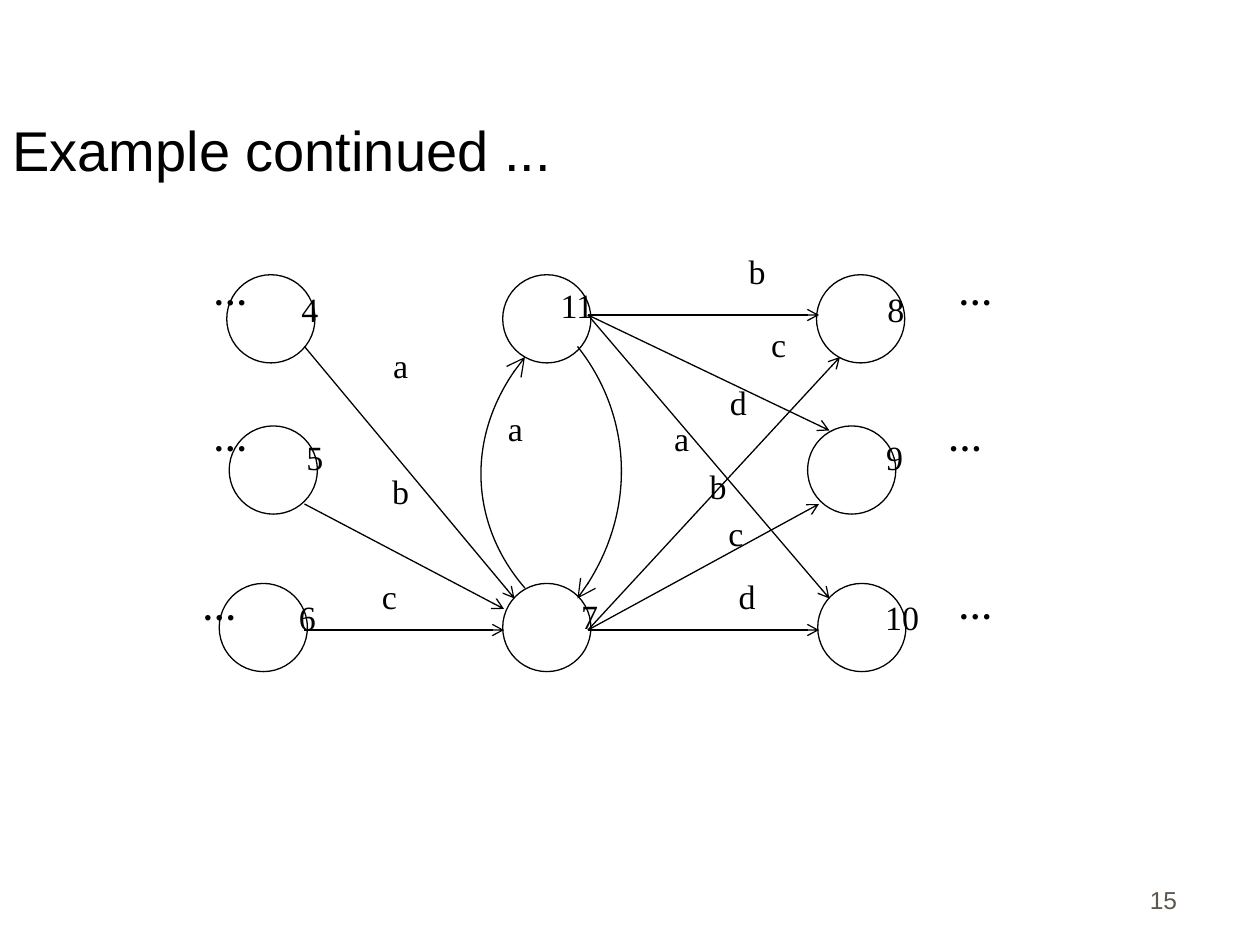
from typing import NamedTuple

from pptx import Presentation
from pptx.dml.color import RGBColor
from pptx.enum.shapes import MSO_CONNECTOR, MSO_SHAPE
from pptx.enum.text import MSO_ANCHOR, PP_ALIGN
from pptx.oxml.xmlchemy import OxmlElement
from pptx.util import Pt

OVAL = MSO_SHAPE.OVAL
STRAIGHT = MSO_CONNECTOR.STRAIGHT
TOP, BOTTOM = MSO_ANCHOR.TOP, MSO_ANCHOR.BOTTOM
LEFT, CENTER, RIGHT = PP_ALIGN.LEFT, PP_ALIGN.CENTER, PP_ALIGN.RIGHT

BLACK, WHITE, GREY = "000000", "FFFFFF", "5E574E"
SIZE = 50.4
TAG_W, TAG_H = 73.4, 30.2
ROWS = (157, 243.4, 333.4)
TAG_FONT = {"name": "Times New Roman", "size": Pt(19.4)}
DOT_FONT = TAG_FONT | {"bold": True}
TAG_PARA = {"alignment": CENTER, "line_spacing": 0.8}


class Node(NamedTuple):
    name: str
    left: float
    row: int
    tag_x: float
    tag_y: float


class Edge(NamedTuple):
    x1: float
    y1: float
    x2: float
    y2: float


class Tag(NamedTuple):
    text: str
    left: float
    top: float


NODES = (
    Node("4", 129.6, 0, 140.4, 165.6),
    Node("5", 131, 1, 143.3, 250.6),
    Node("6", 125.3, 2, 139, 342),
    Node("11", 287.3, 0, 293, 163.4),
    Node("7", 287.3, 2, 300.2, 341.3),
    Node("8", 466.6, 0, 475.2, 165.6),
    Node("9", 461.5, 1, 474.5, 250.6),
    Node("10", 467.3, 2, 478.8, 342),
)
EDGES = (
    Edge(174, 198, 294, 342),
    Edge(174, 288, 288, 348),
    Edge(174, 360, 288, 360),
    Edge(336, 180, 468, 180),
    Edge(336, 180, 474, 246),
    Edge(336, 180, 474, 342),
    Edge(336, 360, 480, 204),
    Edge(336, 360, 468, 288),
    Edge(336, 360, 468, 360),
)
CURVES = (
    ((300, 336), (270.7, 302.4), (264, 247.7), (300, 204)),
    ((330, 198), (359.3, 234.7), (366, 294.5), (330, 342)),
)
TAGS = (
    Tag("a", 192.2, 198),
    Tag("b", 192.2, 270),
    Tag("c", 185.8, 329.8),
    Tag("a", 257.8, 234),
    Tag("b", 396, 144),
    Tag("c", 408.2, 185.8),
    Tag("d", 385.2, 218.9),
    Tag("a", 352.8, 239.8),
    Tag("b", 373.7, 267.1),
    Tag("c", 383.8, 293.8),
    Tag("d", 390.2, 329.8),
)
DOTS = (
    (95, 156.2), (95, 239.8), (88.6, 336.2),
    (520.6, 156.2), (514.8, 239.8), (520.6, 335.5),
)


def color(code: str) -> RGBColor:
    return RGBColor.from_string(code)


def apply(target, form: dict) -> None:
    for key, value in form.items():
        setattr(target, key, value)


def write(slide, text: str, box: tuple, font: dict, para: dict,
          anchor=TOP, code: str = BLACK) -> None:
    frame = slide.shapes.add_textbox(*map(Pt, box)).text_frame
    apply(frame, {"word_wrap": True, "vertical_anchor": anchor})
    line = frame.paragraphs[0]
    apply(line, {"text": text} | para)
    apply(line.font, font)
    line.font.color.rgb = color(code)


def label(slide, tag: Tag, font: dict) -> None:
    write(slide, tag.text, (tag.left, tag.top, TAG_W, TAG_H), font, TAG_PARA)


def outline(shape) -> None:
    shape.line.color.rgb = color(BLACK)
    shape.line.width = Pt(0.75)


def point(shape, size: str) -> None:
    tip = OxmlElement("a:tailEnd")
    for key, value in {"type": "arrow", "w": size, "len": size}.items():
        tip.set(key, value)
    shape.element.spPr.find(".//{*}ln").append(tip)


def circle(slide, node: Node) -> None:
    box = (node.left, ROWS[node.row], SIZE, SIZE)
    shape = slide.shapes.add_shape(OVAL, *map(Pt, box))
    shape.shadow.inherit = False
    shape.fill.solid()
    shape.fill.fore_color.rgb = color(WHITE)
    outline(shape)


def arrow(slide, edge: Edge) -> None:
    line = slide.shapes.add_connector(STRAIGHT, *map(Pt, edge))
    outline(line)
    point(line, "med")
    line.element.spPr.append(OxmlElement("a:effectLst"))


def curve(slide, spots: tuple) -> None:
    first, *rest = [(Pt(x), Pt(y)) for x, y in spots]
    pen = slide.shapes.build_freeform(*first)
    pen.add_line_segments(rest, close=False)
    shape = pen.convert_to_shape()
    shape.shadow.inherit = False
    shape.fill.background()
    outline(shape)
    point(shape, "lg")
    legs = shape.element.xpath(".//a:lnTo")
    bend = OxmlElement("a:cubicBezTo")
    legs[0].addprevious(bend)
    for leg in legs:
        bend.append(leg[0])
        leg.getparent().remove(leg)


def main() -> None:
    deck = Presentation()
    apply(deck, {"slide_width": Pt(720), "slide_height": Pt(540)})
    slide = deck.slides.add_slide(deck.slide_layouts[6])
    write(slide, "15", (529.9, 490.3, 149.8, 36),
          {"name": "Arial", "size": Pt(14)}, {"alignment": RIGHT}, BOTTOM, GREY)
    write(slide, "Example continued ...", (0, 18, 612, 90),
          {"name": "Arial", "size": Pt(32)}, {"alignment": LEFT}, BOTTOM)
    for node in NODES:
        circle(slide, node)
    for edge in EDGES:
        arrow(slide, edge)
    for spots in CURVES:
        curve(slide, spots)
    for node in NODES:
        label(slide, Tag(node.name, node.tag_x, node.tag_y), TAG_FONT)
    for spot in DOTS:
        label(slide, Tag("…", *spot), DOT_FONT)
    for tag in TAGS:
        label(slide, tag, TAG_FONT)
    deck.save("out.pptx")


if __name__ == "__main__":
    main()
